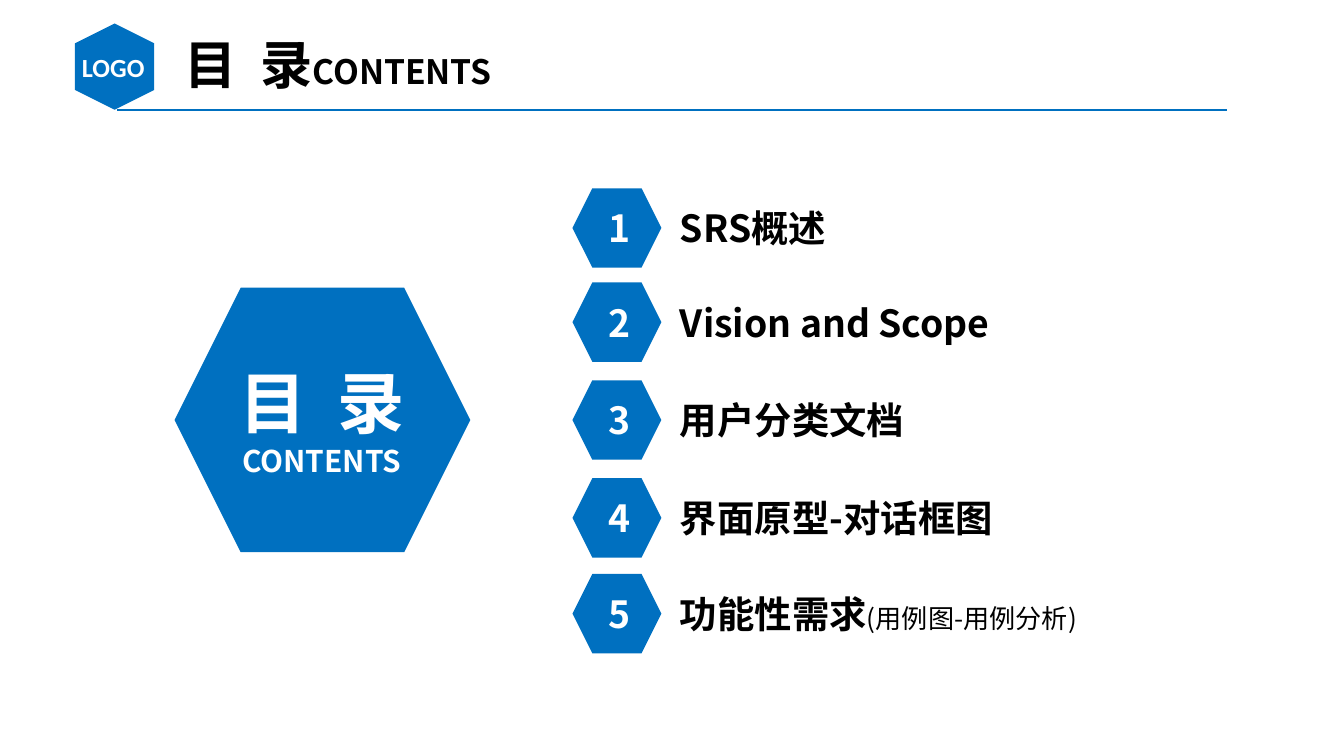
from dataclasses import dataclass
from lxml import etree
from pptx import Presentation
from pptx.dml.color import RGBColor
from pptx.enum.shapes import MSO_CONNECTOR, MSO_SHAPE
from pptx.enum.text import MSO_ANCHOR, MSO_AUTO_SIZE, PP_ALIGN
from pptx.oxml.ns import qn
from pptx.util import Cm, Pt

HEX, RECT = MSO_SHAPE.HEXAGON, MSO_SHAPE.RECTANGLE
LEFT, MID = PP_ALIGN.LEFT, PP_ALIGN.CENTER
TOP, FIT = MSO_ANCHOR.TOP, MSO_AUTO_SIZE.SHAPE_TO_FIT_TEXT
LINE = MSO_CONNECTOR.STRAIGHT


@dataclass(frozen=True)
class Theme:
    blue: RGBColor = RGBColor(0x00, 0x70, 0xC0)
    black: RGBColor = RGBColor(0x00, 0x00, 0x00)
    white: RGBColor = RGBColor(0xFF, 0xFF, 0xFF)
    face: str = "Noto Sans CJK SC"
    logo: str = "Calibri"
    hero: Pt = Pt(36)
    title: Pt = Pt(28)
    item: Pt = Pt(20)
    sub: Pt = Pt(18)
    label: Pt = Pt(16)
    small: Pt = Pt(14)
    rule: Pt = Pt(0.75)


theme = Theme()
prs = Presentation()
prs.slide_width, prs.slide_height = Cm(25.4), Cm(14.29)
slide = prs.slides.add_slide(prs.slide_layouts[5])
shapes = slide.shapes


def block(kind, left, top, width, height):
    shape = shapes.add_shape(kind, Cm(left), Cm(top), Cm(width), Cm(height))
    shape.shadow.inherit = False
    shape.fill.solid()
    shape.fill.fore_color.rgb = theme.blue
    shape.line.fill.background()
    return shape


def write(shape, lines, color, align=LEFT, face=theme.face):
    frame = shape.text_frame
    frame.word_wrap, frame.auto_size = True, FIT
    frame.vertical_anchor = TOP
    for i, parts in enumerate(lines):
        para = frame.add_paragraph() if i else frame.paragraphs[0]
        para.alignment = align
        font = para.font
        font.name, font.bold = face, True
        font.color.rgb = color
        etree.SubElement(font._element, qn("a:ea")).set("typeface", face)
        if len(parts) == 1:
            font.size = parts[0][1]
        for text, size in parts:
            run = para.add_run()
            run.text = text
            if len(parts) > 1:
                run.font.size = size


rule = shapes.add_connector(LINE, Cm(2.21), Cm(2.08), Cm(23.19), Cm(2.08))
rule.line.color.rgb, rule.line.width = theme.blue, theme.rule
etree.SubElement(rule._element.spPr, qn("a:effectLst"))

badge = block(HEX, 1.35, 0.51, 1.63, 1.5)
badge.rotation = 90
logo = shapes.add_textbox(Cm(1.24), Cm(0.84), Cm(1.8), Cm(0.86))
write(logo, [[("LOGO", theme.small)]], theme.white, MID, theme.logo)

title = shapes.title
title.left, title.top = Cm(3.23), Cm(0.48)
title.width, title.height = Cm(7.29), Cm(1.45)
write(title, [[("目  录", theme.title), ("CONTENTS", theme.sub)]], theme.black)

block(HEX, 3.3, 5.44, 5.59, 5)
hero = shapes.add_textbox(Cm(3.89), Cm(6.71), Cm(4.39), Cm(2.49))
write(hero, [[("目  录", theme.hero)], [("CONTENTS", theme.label)]],
      theme.white, MID)

items = [
    (3.56, "SRS概述", ""),
    (5.34, "Vision and Scope", ""),
    (7.19, "用户分类文档", ""),
    (9.04, "界面原型-对话框图", ""),
    (10.85, "功能性需求", "(用例图-用例分析)"),
]
for num, (top, name, note) in enumerate(items, 1):
    block(HEX, 10.82, top, 1.68, 1.5)
    digit = block(RECT, 11.25, top + 0.2, 0.79, 1.12)
    write(digit, [[(str(num), theme.item)]], theme.white, MID)
    entry = shapes.add_textbox(Cm(12.6), Cm(top + 0.2), Cm(9.3), Cm(1.12))
    parts = [(name, theme.item)]
    if note:
        parts.append((note, theme.small))
    write(entry, [parts], theme.black)
    if note:
        entry.text_frame.paragraphs[0].runs[1].font.bold = False

prs.save("out.pptx")
